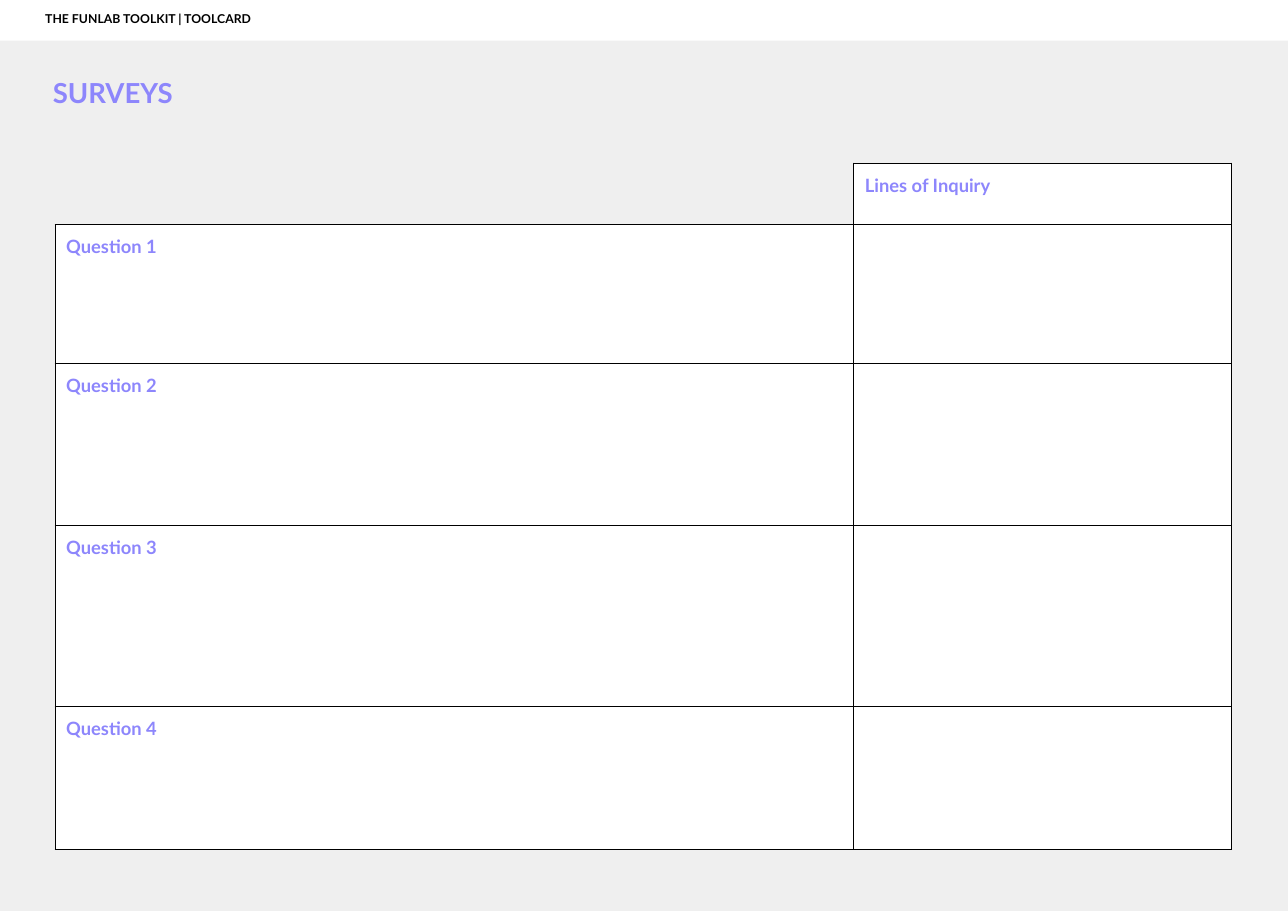
import pptx
import pptx.dml.color
import pptx.enum.shapes
import pptx.enum.text
import pptx.oxml.ns
import pptx.util
from lxml import etree
from pptx.util import Inches

COLORS = {"page": "EFEFEF", "panel": "FFFFFF", "accent": "8D86FC", "ink": "000000"}
FONT = "Lato"
INSET = Inches(0.1)
COLUMN_WIDTHS = [7.25, 3.43]
ROW_HEIGHTS = [0.56, 1.26, 1.47, 1.64, 1.3]


def rgb(name):
    return pptx.dml.color.RGBColor.from_string(COLORS[name])


def fill_solid(fill, color):
    fill.solid()
    fill.fore_color.rgb = rgb(color)


def write_text(frame, text, size, color):
    frame.text = text
    para = frame.paragraphs[0]
    para.alignment = pptx.enum.text.PP_ALIGN.LEFT
    font = para.runs[0].font
    font.name = FONT
    font.size = pptx.util.Pt(size)
    font.bold = True
    font.color.rgb = rgb(color)


def set_frame(frame, left_margin):
    frame.word_wrap = True
    frame.auto_size = pptx.enum.text.MSO_AUTO_SIZE.NONE
    frame.vertical_anchor = pptx.enum.text.MSO_ANCHOR.TOP
    frame.margin_left = Inches(left_margin)
    frame.margin_top = frame.margin_right = frame.margin_bottom = INSET


def add_title(page, text):
    title = page.shapes.title
    title.left, title.top = Inches(0), Inches(0.59)
    title.width, title.height = Inches(6.64), Inches(0.51)
    set_frame(title.text_frame, 0.48)
    write_text(title.text_frame, text, 18, "accent")


def add_header_band(page, text):
    band = page.shapes.add_shape(
        pptx.enum.shapes.MSO_SHAPE.RECTANGLE,
        Inches(0), Inches(0), Inches(11.69), Inches(0.37))
    band.shadow.inherit = False
    fill_solid(band.fill, "panel")
    band.line.fill.background()
    set_frame(band.text_frame, 0.41)
    write_text(band.text_frame, text, 8, "ink")


def set_borders(cell, visible_sides):
    qn = pptx.oxml.ns.qn
    properties = cell._tc.get_or_add_tcPr()
    for side in "LRTB":
        line = etree.SubElement(properties, qn(f"a:ln{side}"), w=str(pptx.util.Pt(0.75)))
        if side in visible_sides:
            solid = etree.SubElement(line, qn("a:solidFill"))
            etree.SubElement(solid, qn("a:srgbClr"), val=COLORS["ink"])
        else:
            etree.SubElement(line, qn("a:noFill"))


def add_survey_table(page, rows):
    frame = page.shapes.add_table(
        len(rows), len(COLUMN_WIDTHS), Inches(0.5), Inches(1.48),
        Inches(sum(COLUMN_WIDTHS)), Inches(sum(ROW_HEIGHTS)))
    table = frame.table
    table.first_row = table.horz_banding = False
    for column, width in zip(table.columns, COLUMN_WIDTHS):
        column.width = Inches(width)
    for row, height in zip(table.rows, ROW_HEIGHTS):
        row.height = Inches(height)
    for row_index, labels in enumerate(rows):
        for column_index, label in enumerate(labels):
            cell = table.cell(row_index, column_index)
            cell.margin_left = cell.margin_right = INSET
            cell.margin_top = cell.margin_bottom = INSET
            # The empty corner shows only the edges it shares with its neighbours
            if row_index == column_index == 0:
                set_borders(cell, "RB")
                cell.fill.background()
            else:
                set_borders(cell, "LRTB")
                fill_solid(cell.fill, "panel")
            if label:
                write_text(cell.text_frame, label, 12, "accent")


def main():
    deck = pptx.Presentation()
    deck.slide_width, deck.slide_height = Inches(11.69), Inches(8.27)
    page = deck.slides.add_slide(deck.slide_layouts[5])
    fill_solid(page.background.fill, "page")

    # Survey grid
    questions = [(f"Question {number}", "") for number in range(1, 5)]
    add_survey_table(page, [("", "Lines of Inquiry")] + questions)

    # Title and header band
    add_title(page, "SURVEYS")
    add_header_band(page, "THE FUNLAB TOOLKIT | TOOLCARD")

    deck.save("out.pptx")


if __name__ == "__main__":
    main()
